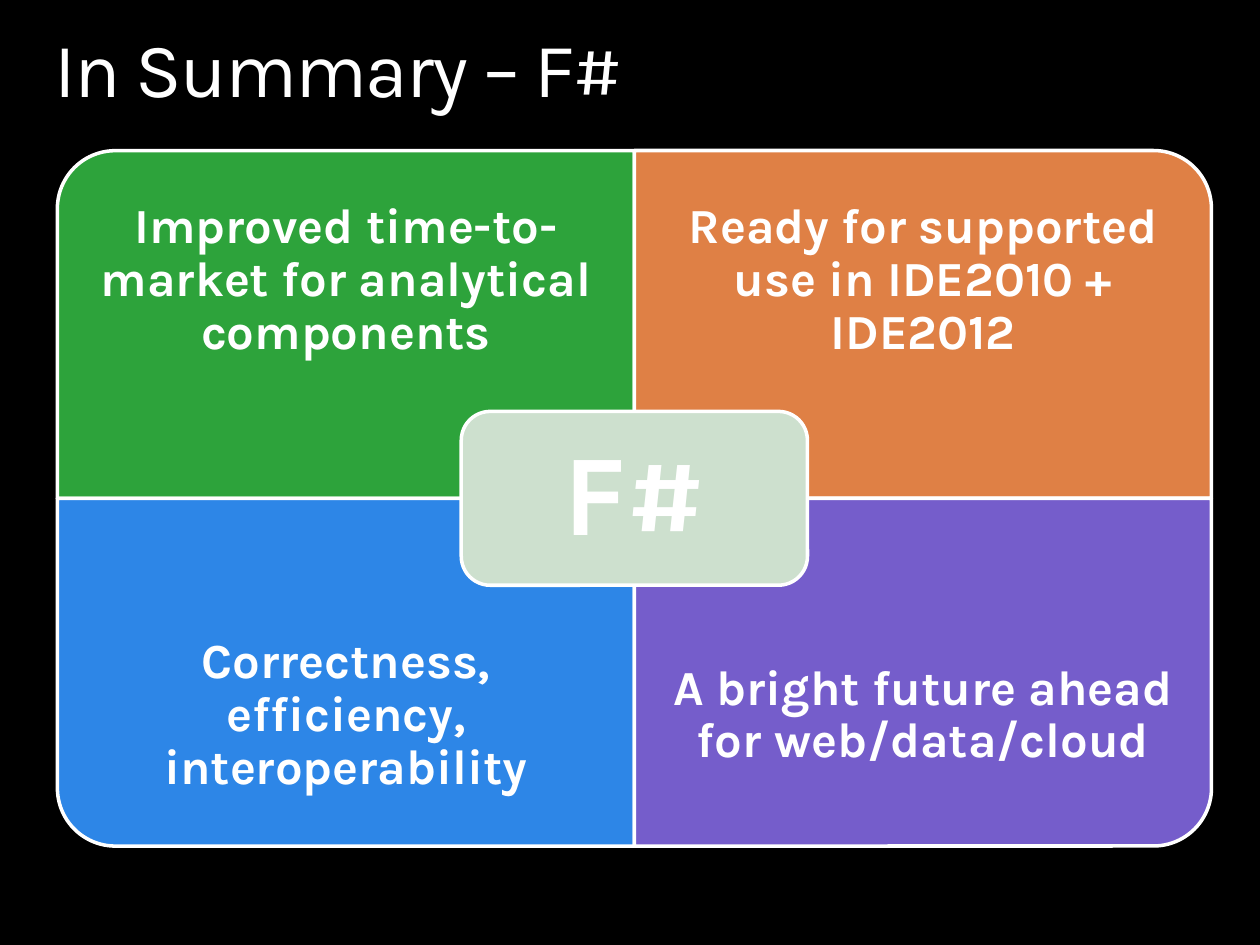
from dataclasses import dataclass

from pptx import Presentation
from pptx.dml.color import RGBColor
from pptx.enum.shapes import MSO_SHAPE
from pptx.enum.text import MSO_ANCHOR, MSO_AUTO_SIZE, PP_ALIGN
from pptx.util import Inches, Pt


@dataclass(frozen=True)
class Theme:
    font: str = "Karla"
    background: str = "000000"
    ink: str = "FFFFFF"
    green: str = "2DA33B"
    orange: str = "DF8045"
    blue: str = "2D86E7"
    purple: str = "755DCB"
    hub: str = "CDE0CE"
    title_size: int = 44
    quadrant_size: int = 28
    hub_size: int = 66
    border: int = 2


class SlideBuilder:
    def __init__(self, slide, theme):
        self.slide = slide
        self.theme = theme
        background = slide.background.fill
        background.solid()
        background.fore_color.rgb = RGBColor.from_string(theme.background)

    def panel(self, preset, left, top, width, height, color, rotation=0):
        """Draw a bordered panel; the given frame is the one seen after rotation."""
        if rotation % 180:
            left += (width - height) / 2
            top += (height - width) / 2
            width, height = height, width
        panel = self.slide.shapes.add_shape(
            preset, Inches(left), Inches(top), Inches(width), Inches(height))
        panel.rotation = rotation
        panel.shadow.inherit = False
        panel.fill.solid()
        panel.fill.fore_color.rgb = RGBColor.from_string(color)
        panel.line.color.rgb = RGBColor.from_string(self.theme.ink)
        panel.line.width = Pt(self.theme.border)

    def text(self, wording, left, top, width, height, size, inset=0, bold=False,
             align=PP_ALIGN.CENTER, anchor=MSO_ANCHOR.MIDDLE):
        box = self.slide.shapes.add_textbox(
            Inches(left), Inches(top), Inches(width), Inches(height))
        frame = box.text_frame
        frame.word_wrap = True
        frame.vertical_anchor = anchor
        frame.margin_left = frame.margin_right = Inches(inset)
        frame.margin_top = frame.margin_bottom = Inches(inset)
        paragraph = frame.paragraphs[0]
        paragraph.alignment = align
        paragraph.line_spacing = 0.9
        run = paragraph.add_run()
        run.text = wording
        run.font.name = self.theme.font
        run.font.size = Pt(size)
        run.font.bold = bold
        run.font.color.rgb = RGBColor.from_string(self.theme.ink)
        return frame

    def title(self, wording):
        frame = self.text(wording, 0.43, 0.25, 9.15, 0.67, self.theme.title_size,
                          align=PP_ALIGN.LEFT, anchor=MSO_ANCHOR.TOP)
        frame.auto_size = MSO_AUTO_SIZE.SHAPE_TO_FIT_TEXT
        # Letter spacing of -1 pt, in hundredths of a point
        frame.paragraphs[0].runs[0].font._element.set("spc", "-100")


def main():
    theme = Theme()
    presentation = Presentation()
    presentation.slide_width, presentation.slide_height = Inches(10), Inches(7.5)
    builder = SlideBuilder(
        presentation.slides.add_slide(presentation.slide_layouts[6]), theme)
    builder.title("In Summary – F#")

    matrix_left, matrix_top = 0.455, 1.195
    width, height = 4.58, 2.76
    text_height = height * 0.75
    # Column, row, rotation that turns the round corner outwards, colour, wording
    quadrants = [
        (0, 0, 270, theme.green, "Improved time-to-market for analytical components"),
        (1, 0, 0, theme.orange, "Ready for supported use in IDE2010 + IDE2012"),
        (0, 1, 180, theme.blue, "Correctness, efficiency, interoperability"),
        (1, 1, 90, theme.purple, "A bright future ahead for web/data/cloud"),
    ]
    for column, row, rotation, color, wording in quadrants:
        left = matrix_left + column * width
        top = matrix_top + row * height
        builder.panel(MSO_SHAPE.ROUND_1_RECTANGLE, left, top, width, height,
                      color, rotation)
        builder.text(wording, left, top + row * (height - text_height), width,
                     text_height, theme.quadrant_size, inset=0.22, bold=True)

    hub_width, hub_height = width * 0.6, height / 2
    hub_left = matrix_left + width - hub_width / 2
    hub_top = matrix_top + height - hub_height / 2
    pad = 0.07
    builder.panel(MSO_SHAPE.ROUNDED_RECTANGLE, hub_left, hub_top, hub_width,
                  hub_height, theme.hub)
    builder.text("F#", hub_left + pad, hub_top + pad, hub_width - 2 * pad,
                 hub_height - 2 * pad, theme.hub_size, inset=0.28, bold=True)

    presentation.save("out.pptx")


if __name__ == "__main__":
    main()
